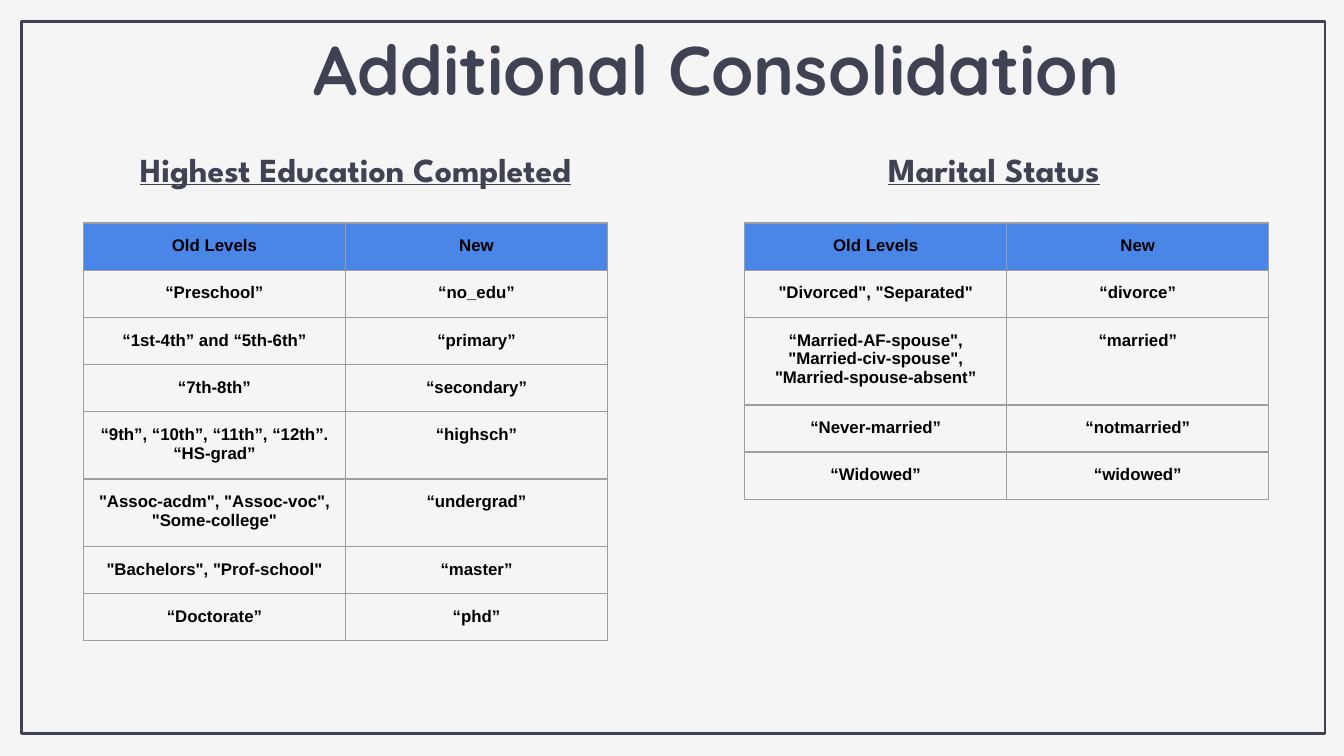
from lxml import etree
from pptx import Presentation
from pptx.dml.color import RGBColor
from pptx.enum.shapes import MSO_SHAPE
from pptx.enum.text import MSO_ANCHOR, MSO_AUTO_SIZE, PP_ALIGN
from pptx.oxml.ns import qn
from pptx.util import Inches, Pt

RECT = MSO_SHAPE.RECTANGLE
TOP = MSO_ANCHOR.TOP
NO_FIT = MSO_AUTO_SIZE.NONE
GROW = MSO_AUTO_SIZE.SHAPE_TO_FIT_TEXT
CENTER = PP_ALIGN.CENTER

INK, BLACK, BLUE, GRAY, PAPER = "3F4252", "000000", "4A86E8", "9E9E9E", "F5F5F5"
INSET = 0.1
COL_W, ROW_H, FRAME = 1.95, 0.27, 3.28
HEAD = ("Old Levels", "New")
EDU = [
    HEAD,
    ("“Preschool”", "“no_edu”"),
    ("“1st-4th” and “5th-6th”", "“primary”"),
    ("“7th-8th”", "“secondary”"),
    ("“9th”, “10th”, “11th”, “12th”. “HS-grad”", "“highsch”"),
    ('"Assoc-acdm", "Assoc-voc", "Some-college"', "“undergrad”"),
    ('"Bachelors", "Prof-school"', "“master”"),
    ("“Doctorate”", "“phd”"),
]
MARITAL = [
    HEAD,
    ('"Divorced", "Separated"', "“divorce”"),
    ('“Married-AF-spouse", "Married-civ-spouse", "Married-spouse-absent”', "“married”"),
    ("“Never-married”", "“notmarried”"),
    ("“Widowed”", "“widowed”"),
]


def color(code):
    """Turn a hex string into a colour."""
    return RGBColor.from_string(code)


def inset(item):
    """Set equal margins on a text frame or a cell."""
    item.margin_left = item.margin_right = Inches(INSET)
    item.margin_top = item.margin_bottom = Inches(INSET)


def write(frame, text, size, face, tint, under=None):
    """Put one centred bold run in a text frame."""
    para = frame.paragraphs[0]
    para.alignment = CENTER
    run = para.add_run()
    run.text = text
    font = run.font
    font.size, font.name, font.bold, font.underline = Pt(size), face, True, under
    font.color.rgb = color(tint)
    return para


def add_border(slide):
    """Draw the outline around the slide."""
    box = slide.shapes.add_shape(RECT, Inches(0.16), Inches(0.16), Inches(9.7), Inches(5.3))
    box.shadow.inherit = False
    box.fill.background()
    box.line.color.rgb = color(INK)
    box.line.width = Pt(1.5)


def set_title(slide, text):
    """Place and fill the title."""
    title = slide.shapes.title
    title.left, title.top = Inches(2.06), Inches(0.17)
    title.width, title.height = Inches(6.54), Inches(0.84)
    frame = title.text_frame
    frame.word_wrap, frame.auto_size, frame.vertical_anchor = True, NO_FIT, TOP
    inset(frame)
    write(frame, text, 37, "Quicksand", INK).line_spacing = 0.9


def add_label(slide, left, text):
    """Add an underlined heading above a table."""
    box = slide.shapes.add_textbox(Inches(left), Inches(1.01), Inches(4.11), Inches(0.5))
    frame = box.text_frame
    frame.word_wrap, frame.auto_size = True, GROW
    inset(frame)
    write(frame, text, 18, "League Spartan", INK, True)


def set_edges(cell):
    """Draw thin gray borders on all sides of a cell."""
    props = cell._tc.get_or_add_tcPr()
    for spot, side in enumerate(("a:lnL", "a:lnR", "a:lnT", "a:lnB")):
        line = etree.Element(qn(side), w=str(Pt(0.75)))
        fill = etree.SubElement(line, qn("a:solidFill"))
        etree.SubElement(fill, qn("a:srgbClr"), val=GRAY)
        props.insert(spot, line)


def add_grid(slide, left, rows):
    """Add a table of old and new levels."""
    frame = slide.shapes.add_table(
        len(rows), len(HEAD), Inches(left), Inches(1.66),
        Inches(COL_W * len(HEAD)), Inches(ROW_H * len(rows)),
    )
    frame.width = frame.height = Inches(FRAME)
    for r, row in enumerate(rows):
        for c, text in enumerate(row):
            cell = frame.table.cell(r, c)
            inset(cell)
            write(cell.text_frame, text, 9, "Arial", BLACK)
            if r == 0:
                cell.fill.solid()
                cell.fill.fore_color.rgb = color(BLUE)
            else:
                cell.fill.background()
            set_edges(cell)


def main():
    """Build and save the slide."""
    deck = Presentation()
    deck.slide_width = Inches(10)
    deck.slide_height = deck.slide_width * 9 // 16
    slide = deck.slides.add_slide(deck.slide_layouts[5])
    slide.background.fill.solid()
    slide.background.fill.fore_color.rgb = color(PAPER)
    add_border(slide)
    set_title(slide, "Additional Consolidation")
    add_label(slide, 0.59, "Highest Education Completed")
    add_grid(slide, 0.62, EDU)
    add_label(slide, 5.34, "Marital Status")
    add_grid(slide, 5.54, MARITAL)
    deck.save("out.pptx")


if __name__ == "__main__":
    main()
